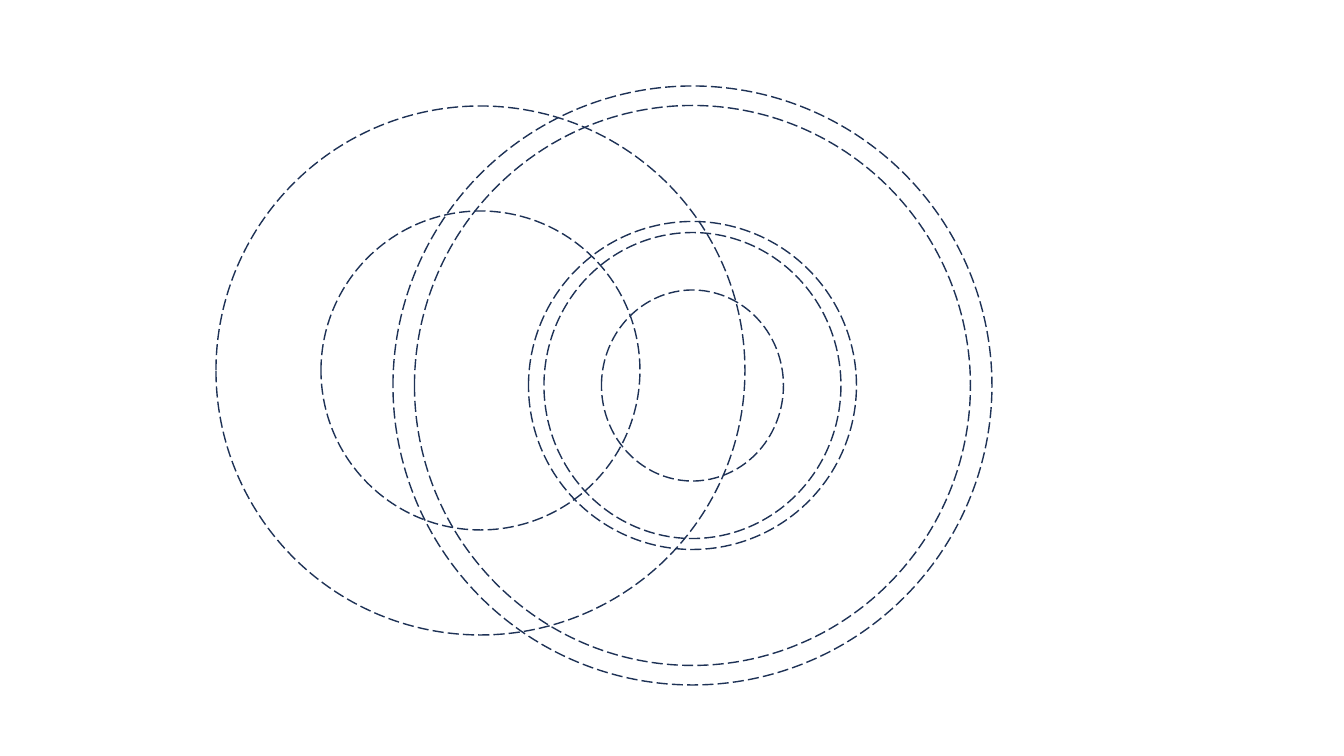
from pptx import Presentation
from pptx.dml.color import RGBColor
from pptx.enum.dml import MSO_LINE
from pptx.enum.shapes import MSO_SHAPE
from pptx.util import Pt

ELLIPSE = MSO_SHAPE.OVAL
LONG_DASH = MSO_LINE.LONG_DASH
NAVY = RGBColor(0x1E, 0x32, 0x56)
EMU_PER_PX = 914400 / 100.8
SLIDE_SIZE = (1344, 756)

LEFT_BOX = (216, 106, 529, 529)
LEFT_RINGS = [(529, 529), (319, 319)]
RIGHT_BOX = (393, 86, 599, 599)
RIGHT_RINGS = [(599, 599), (328, 328), (297, 306), (182, 191), (556, 560)]
RING_LINE = {"width": Pt(1), "dash_style": LONG_DASH}


def px(length):
    return round(length * EMU_PER_PX)


def draw_concentric_rings(slide, box, ring_sizes):
    left, top, box_width, box_height = box
    for width, height in ring_sizes:
        ring = slide.shapes.add_shape(
            ELLIPSE,
            px(left + (box_width - width) / 2),
            px(top + (box_height - height) / 2),
            px(width),
            px(height),
        )
        ring.shadow.inherit = False
        ring.fill.background()
        ring.line.color.rgb = NAVY
        for attribute, value in RING_LINE.items():
            setattr(ring.line, attribute, value)


def main():
    deck = Presentation()
    deck.slide_width, deck.slide_height = map(px, SLIDE_SIZE)
    slide = deck.slides.add_slide(deck.slide_layouts[6])
    draw_concentric_rings(slide, LEFT_BOX, LEFT_RINGS)
    draw_concentric_rings(slide, RIGHT_BOX, RIGHT_RINGS)
    deck.save("out.pptx")


if __name__ == "__main__":
    main()
